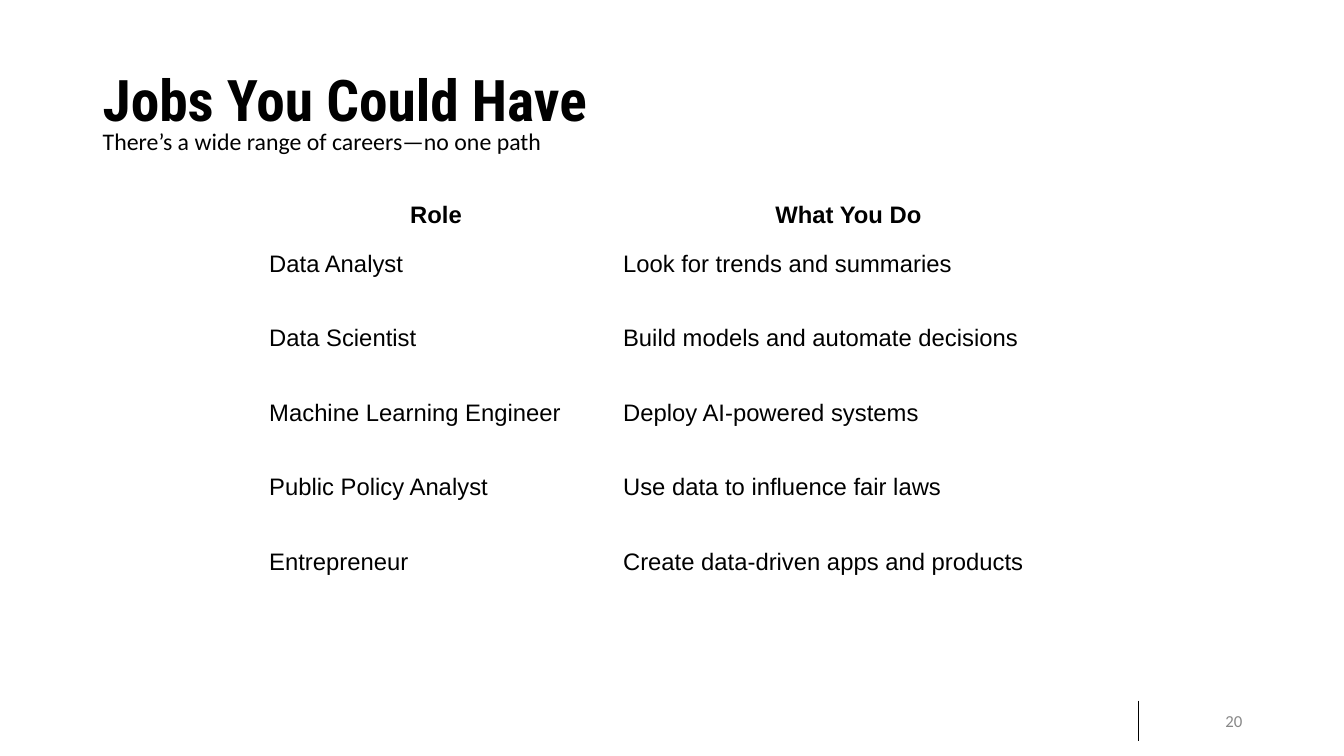
from lxml import etree
from pptx import Presentation
from pptx.dml.color import RGBColor
from pptx.enum.shapes import MSO_CONNECTOR
from pptx.enum.text import MSO_ANCHOR, PP_ALIGN
from pptx.oxml.ns import qn
from pptx.util import Inches, Pt

STRAIGHT = MSO_CONNECTOR.STRAIGHT
MIDDLE, TOP = MSO_ANCHOR.MIDDLE, MSO_ANCHOR.TOP
LEFT, CENTER, RIGHT = PP_ALIGN.LEFT, PP_ALIGN.CENTER, PP_ALIGN.RIGHT

COLORS = {"ink": "000000", "page_number": "888888"}
JOBS = [
    ("Role", "What You Do"),
    ("Data Analyst", "Look for trends and summaries"),
    ("Data Scientist", "Build models and automate decisions"),
    ("Machine Learning Engineer", "Deploy AI-powered systems"),
    ("Public Policy Analyst", "Use data to influence fair laws"),
    ("Entrepreneur", "Create data-driven apps and products"),
]
COLUMN_WIDTHS = (3.51, 4.67)
HEADER_HEIGHT, JOB_HEIGHT = 0.51, 0.74


def style_paragraph(para, font, size, color="ink", bold=False, align=LEFT, spacing=1.0):
    para.alignment = align
    para.line_spacing = spacing
    for span in para.runs:
        span.font.name = font
        span.font.size = Pt(size)
        span.font.bold = bold
        span.font.color.rgb = RGBColor.from_string(COLORS[color])


def add_text(page, left, top, width, height, text, inset=0.1, **style):
    """Add one vertically centred line of text."""
    box = page.shapes.add_textbox(Inches(left), Inches(top), Inches(width), Inches(height))
    frame = box.text_frame
    frame.word_wrap = True
    frame.vertical_anchor = MIDDLE
    frame.margin_left = frame.margin_right = Inches(0.1)
    frame.margin_top = frame.margin_bottom = Inches(inset)
    frame.text = text
    style_paragraph(frame.paragraphs[0], **style)


def add_heading(page, left, top, width):
    add_text(page, left, top, width, 0.9, "Jobs You Could Have",
             font="Roboto Condensed", size=41, bold=True, spacing=0.9)
    add_text(page, left, top + 0.62, width, 0.45,
             "There’s a wide range of careers—no one path",
             font="Calibri", size=17, spacing=0.9)


def add_jobs_table(page, left, top):
    row_heights = [HEADER_HEIGHT] + [JOB_HEIGHT] * (len(JOBS) - 1)
    frame = page.shapes.add_table(
        len(JOBS), len(COLUMN_WIDTHS), Inches(left), Inches(top),
        Inches(sum(COLUMN_WIDTHS)), Inches(sum(row_heights)))
    table = frame.table
    table.first_row = table.horz_banding = False
    for column, width in zip(table.columns, COLUMN_WIDTHS):
        column.width = Inches(width)
    for index, (row, height, job) in enumerate(zip(table.rows, row_heights, JOBS)):
        row.height = Inches(height)
        is_header = index == 0
        for cell, text in zip(row.cells, job):
            cell.fill.background()
            cell.vertical_anchor = TOP
            cell.margin_left = cell.margin_right = Inches(0.1)
            cell.margin_top = cell.margin_bottom = Inches(0.1)
            cell.text = text
            style_paragraph(cell.text_frame.paragraphs[0], "Arial", 17, bold=is_header,
                            align=CENTER if is_header else LEFT,
                            spacing=1.15 if is_header else 1.0)


def add_footer(page, left, top, height):
    divider = page.shapes.add_connector(
        STRAIGHT, Inches(left), Inches(top), Inches(left), Inches(top + height))
    divider.line.color.rgb = RGBColor.from_string(COLORS["ink"])
    divider.line.width = Pt(0.75)
    etree.SubElement(divider.element.spPr, qn("a:effectLst"))
    add_text(page, left + 0.27, top, 0.86, height, "20", inset=0.05,
             font="Calibri", size=12, color="page_number", align=RIGHT)


def main():
    deck = Presentation()
    deck.slide_width, deck.slide_height = Inches(13.33), Inches(7.5)
    page = deck.slides.add_slide(deck.slide_layouts[6])
    add_heading(page, 0.92, 0.57, 11.5)
    add_jobs_table(page, 2.57, 1.86)
    add_footer(page, 11.29, 6.95, 0.4)
    deck.save("out.pptx")


if __name__ == "__main__":
    main()
